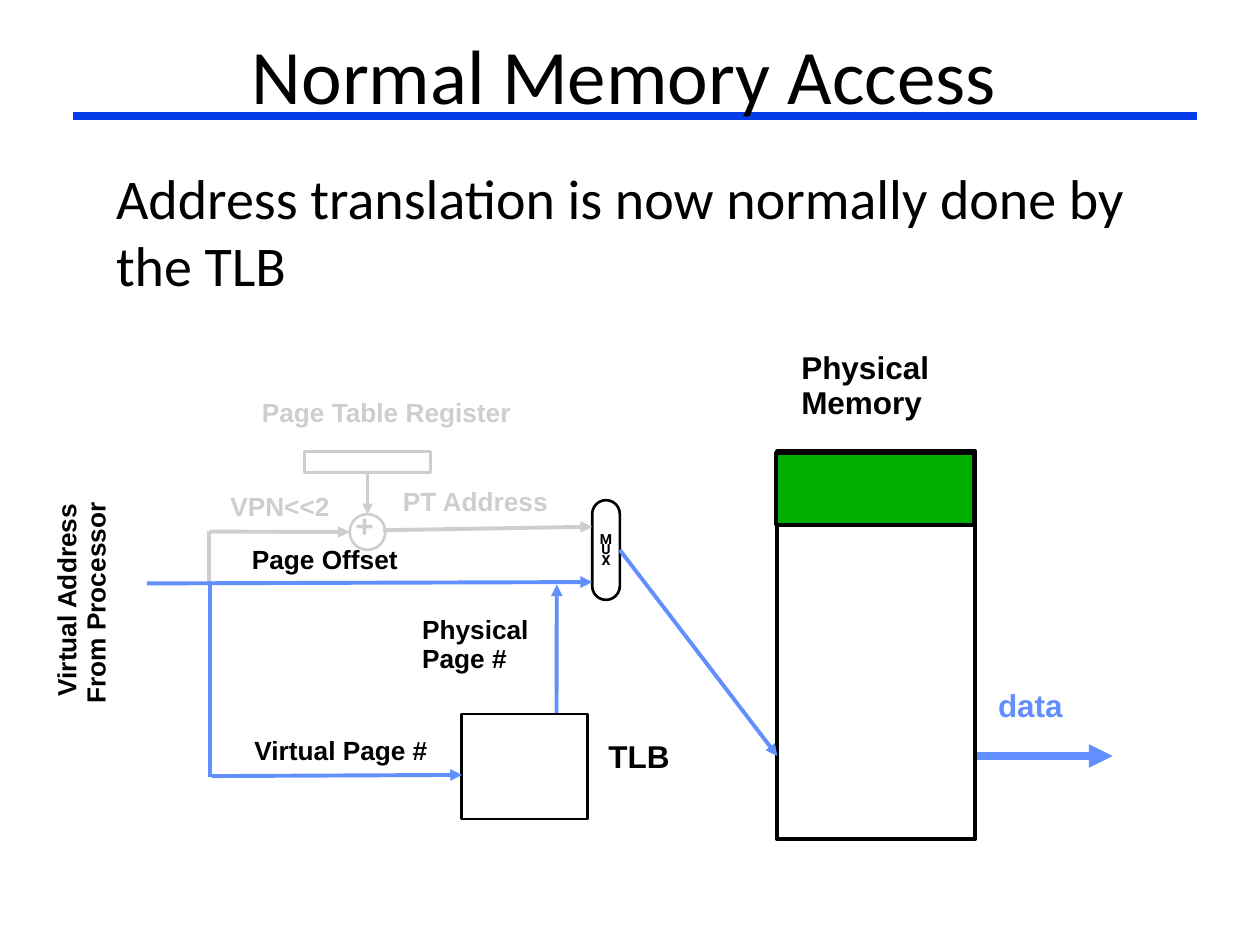
from lxml import etree
from pptx import Presentation
from pptx.dml.color import RGBColor
from pptx.enum.shapes import MSO_CONNECTOR, MSO_SHAPE
from pptx.enum.text import MSO_ANCHOR, PP_ALIGN
from pptx.oxml.ns import qn
from pptx.util import Pt

RECT, OVAL, ROUND = MSO_SHAPE.RECTANGLE, MSO_SHAPE.OVAL, MSO_SHAPE.ROUNDED_RECTANGLE
LINE = MSO_CONNECTOR.STRAIGHT
LEFT, MID = PP_ALIGN.LEFT, PP_ALIGN.CENTER
TOP, CENTRE = MSO_ANCHOR.TOP, MSO_ANCHOR.MIDDLE
SOUTH, EAST = 2, 3


class Theme:
    ink, grey, blue, rule, green = "000000", "CECECE", "618FFD", "063DE8", "00AE00"
    head, body, large, label, tiny = 44, 32, 18, 15, 8
    main, sans, mux = "Calibri", "Arial", "Roboto"


# name: (kind, box, fill, line colour, line width)
SHAPES = {
    "memory": (RECT, (444.2, 257.8, 113, 221.8), None, Theme.ink, 2.25),
    "page": (RECT, (443.5, 259, 113, 41), Theme.green, Theme.ink, 2.25),
    "tlb": (RECT, (263.8, 408, 72, 60), None, Theme.ink, 1.5),
    "mux": (ROUND, (338.4, 285.8, 15.8, 57), None, Theme.ink, 1.5),
    "register": (RECT, (174, 258, 72, 12.2), None, Theme.grey, 1.5),
    "adder": (OVAL, (199.8, 293.8, 20.4, 20.4), None, Theme.grey, 1.5),
}

# start, end, colour, width, arrowhead; a start is a point or (shape, side)
LINES = [
    ((119.5, 303.2), (119.5, 333.4), Theme.grey, 2.25, False),
    ((120, 303.8), (199.8, 304), Theme.grey, 2.25, True),
    (("register", SOUTH), (210, 293.8), Theme.grey, 1.5, True),
    ((219, 303), (338.4, 301), Theme.grey, 2.25, True),
    ((120, 332), (120, 444), Theme.blue, 2.25, False),
    ((121, 443.5), (264, 442.8), Theme.blue, 2.25, True),
    ((318, 407.5), (318.2, 334), Theme.blue, 2.25, True),
    ((84, 333.4), (338.4, 332.6), Theme.blue, 2.25, True),
    (("mux", EAST), (444.2, 432), Theme.blue, 2.25, True),
    ((558, 432), (635.8, 432), Theme.blue, 4.5, True),
    ((41.8, 66.2), (684, 66.2), Theme.rule, 4.5, False),
]

BIG = {"size": Theme.large}
GREY = {"color": Theme.grey}
PLAIN = {"font": Theme.main, "bold": False, "space": 1}

# lines of text, box, format
TEXTS = [
    (["Normal Memory Access"], (59.8, 12.2, 594, 59.8),
     {**PLAIN, "size": Theme.head, "align": MID, "anchor": CENTRE}),
    (["Address translation is now normally done by the TLB"],
     (59.8, 90, 594, 131.8), {**PLAIN, "size": Theme.body}),
    (["Physical", "Page #"], (234.7, 348.5, 78.5, 41.8), {}),
    ([" Page Offset"], (133.3, 308.6, 108, 24), {}),
    ([" Virtual Page #"], (134.8, 417.4, 125, 24), {}),
    ([" TLB"], (336.2, 419.8, 58.3, 27.4), BIG),
    (["Physical", "Memory"], (451.4, 197.3, 87.1, 47.5), BIG),
    (["data"], (563.8, 390.2, 51.1, 27.4), {**BIG, "color": Theme.blue}),
    ([" Virtual Address", "From Processor"], (-19, 317.5, 136.8, 45.4), {"turn": 270}),
    ([" Page Table Register"], (139, 224.4, 172, 24), GREY),
    ([" VPN<<2"], (121, 278.4, 80, 24), GREY),
    ([" PT Address"], (219.6, 275.5, 107.3, 24), GREY),
    (["+"], (196.6, 288, 25.9, 26.6), {**BIG, **GREY, "pad": (6.5, 2.9)}),
    (list("MUX"), (335.5, 302.4, 21.6, 26.6),
     {"size": Theme.tiny, "font": Theme.mux, "align": MID, "space": 0.65,
      "pad": (0, 3.6)}),
]


def rgb(code):
    return RGBColor.from_string(code)


def add_text(slide, rows, box, size=Theme.label, font=Theme.sans, color=Theme.ink,
             bold=True, align=LEFT, anchor=TOP, space=0.93, turn=0, pad=(6.5, 3.6)):
    shape = slide.shapes.add_textbox(*map(Pt, box))
    shape.rotation = turn
    frame = shape.text_frame
    frame.word_wrap = True
    frame.vertical_anchor = anchor
    frame.margin_left = frame.margin_right = Pt(pad[0])
    frame.margin_top = frame.margin_bottom = Pt(pad[1])
    for i, row in enumerate(rows):
        para = frame.add_paragraph() if i else frame.paragraphs[0]
        para.alignment, para.line_spacing = align, space
        run = para.add_run()
        run.text = row
        run.font.name, run.font.size, run.font.bold = font, Pt(size), bold
        run.font.color.rgb = rgb(color)


def add_box(slide, kind, box, fill, color, width):
    shape = slide.shapes.add_shape(kind, *map(Pt, box))
    shape.shadow.inherit = False
    if fill:
        shape.fill.solid()
        shape.fill.fore_color.rgb = rgb(fill)
    else:
        shape.fill.background()
    shape.line.color.rgb = rgb(color)
    shape.line.width = Pt(width)
    if kind == ROUND:
        shape.adjustments[0] = 0.5
    return shape


def add_line(slide, shapes, start, end, color, width, arrow):
    joined = start[0] in shapes
    first = end if joined else start
    line = slide.shapes.add_connector(LINE, *map(Pt, first + end))
    if joined:
        name, side = start
        line.begin_connect(shapes[name], side)
    line.line.color.rgb = rgb(color)
    line.line.width = Pt(width)
    props = line._element.spPr
    if arrow:
        etree.SubElement(props.find(qn("a:ln")), qn("a:tailEnd"), type="triangle")
    etree.SubElement(props, qn("a:effectLst"))


def main():
    deck = Presentation()
    deck.slide_width, deck.slide_height = Pt(720), Pt(540)
    slide = deck.slides.add_slide(deck.slide_layouts[6])
    shapes = {name: add_box(slide, *row) for name, row in SHAPES.items()}
    for row in LINES:
        add_line(slide, shapes, *row)
    for rows, box, form in TEXTS:
        add_text(slide, rows, box, **form)
    deck.save("out.pptx")


if __name__ == "__main__":
    main()
